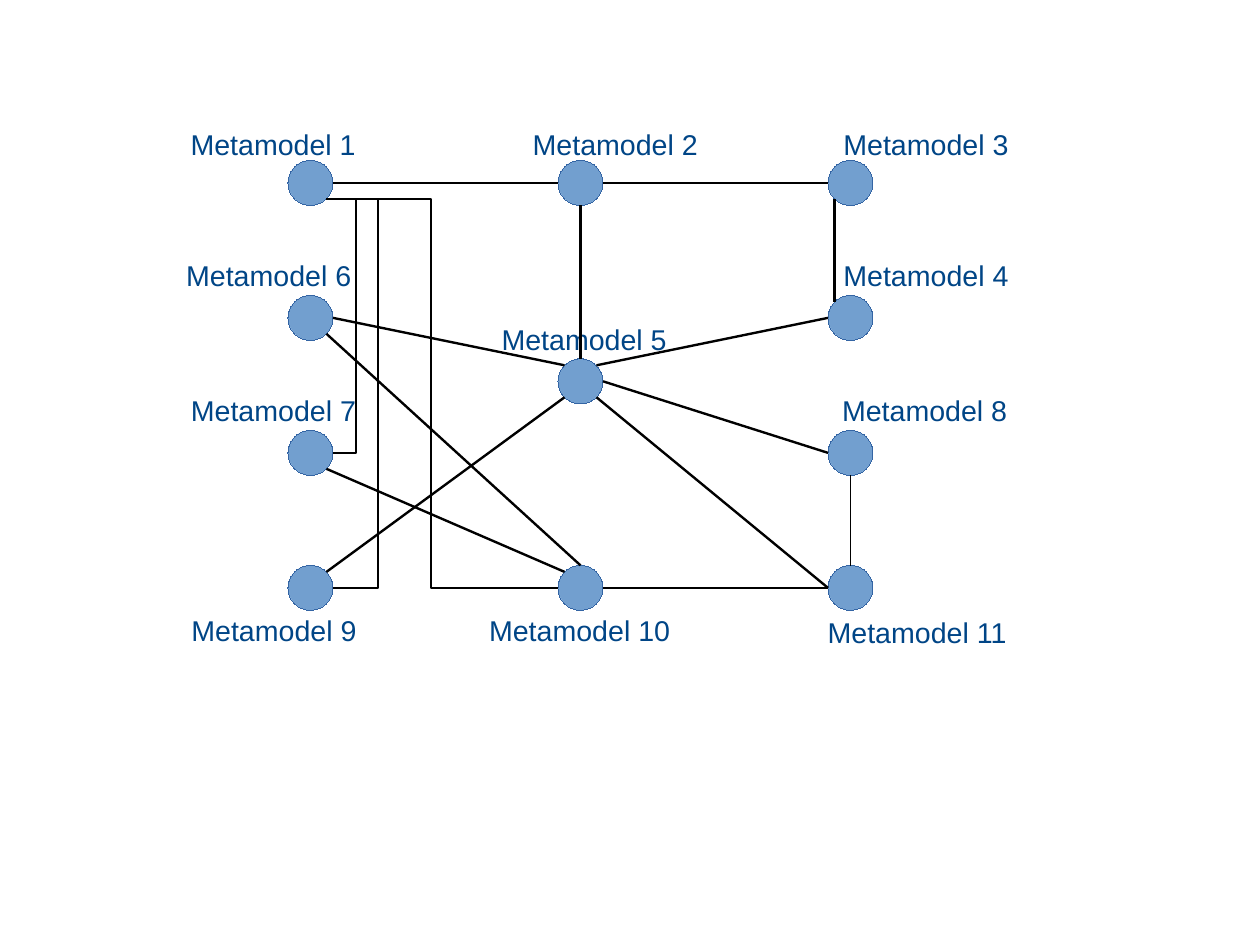
"""Draw a network of eleven linked metamodels."""
import enum
import typing

import pptx
import pptx.dml.color
import pptx.enum.shapes
import pptx.enum.text
import pptx.oxml
import pptx.oxml.ns
import pptx.util

Pt = pptx.util.Pt
DIAMETER = 28.35
LEFT_COLUMN, COLUMN_PITCH = 195.6, 170.08
TOP_ROW, ROW_PITCH = 115.2, 85.04
LABEL_HEIGHT = 27.4
HAIRLINE = 0.01


class Site(enum.Enum):
    TOP = (0, -1)
    TOP_LEFT = (-0.71, -0.71)
    LEFT = (-1, 0)
    BOTTOM_LEFT = (-0.71, 0.71)
    BOTTOM = (0, 1)
    BOTTOM_RIGHT = (0.71, 0.71)
    RIGHT = (1, 0)
    TOP_RIGHT = (0.71, -0.71)


class Node(typing.NamedTuple):
    column: int
    row: float
    label_left: float
    label_top: float

    def center(self) -> tuple[float, float]:
        return LEFT_COLUMN + self.column * COLUMN_PITCH, TOP_ROW + self.row * ROW_PITCH

    def point(self, site: Site) -> tuple[float, float]:
        x, y = self.center()
        across, down = site.value
        return x + across * DIAMETER / 2, y + down * DIAMETER / 2


class Link(typing.NamedTuple):
    start: int
    start_site: Site
    end: int
    end_site: Site
    bend_x: typing.Optional[float] = None
    weight: float = 1.5


NODES = {
    1: Node(0, 0, 113, 76.3),
    2: Node(1, 0, 328.5, 76.3),
    3: Node(2, 0, 524.2, 76.3),
    4: Node(2, 1, 524.2, 158.7),
    5: Node(1, 1.47, 308.9, 199.4),
    6: Node(0, 1, 110.2, 158.7),
    7: Node(0, 2, 113.2, 244.1),
    8: Node(2, 2, 523.4, 244.1),
    9: Node(0, 3, 113.5, 382.3),
    10: Node(1, 3, 301, 382.3),
    11: Node(2, 3, 514.3, 383.8),
}

LINKS = [
    Link(1, Site.RIGHT, 2, Site.LEFT),
    Link(2, Site.RIGHT, 3, Site.LEFT),
    Link(2, Site.BOTTOM, 5, Site.TOP),
    Link(3, Site.BOTTOM_LEFT, 4, Site.TOP_LEFT),
    Link(5, Site.TOP_RIGHT, 4, Site.LEFT),
    Link(5, Site.RIGHT, 8, Site.LEFT),
    Link(5, Site.TOP_LEFT, 6, Site.RIGHT),
    Link(9, Site.TOP_RIGHT, 5, Site.BOTTOM_LEFT),
    Link(11, Site.LEFT, 5, Site.BOTTOM_RIGHT),
    Link(10, Site.TOP_LEFT, 7, Site.BOTTOM_RIGHT),
    Link(10, Site.TOP, 6, Site.BOTTOM_RIGHT),
    Link(11, Site.LEFT, 10, Site.RIGHT),
    Link(11, Site.TOP, 8, Site.BOTTOM, weight=HAIRLINE),
    Link(1, Site.BOTTOM_RIGHT, 7, Site.RIGHT, bend_x=224.2),
    Link(1, Site.BOTTOM_RIGHT, 9, Site.RIGHT, bend_x=238.1),
    Link(1, Site.BOTTOM_RIGHT, 10, Site.LEFT, bend_x=271.4),
]


def color(value: str) -> pptx.dml.color.RGBColor:
    return pptx.dml.color.RGBColor.from_string(value)


def draw_node(page, number: int, node: Node) -> None:
    x, y = node.center()
    circle = page.shapes.add_shape(
        pptx.enum.shapes.MSO_SHAPE.OVAL,
        Pt(x - DIAMETER / 2), Pt(y - DIAMETER / 2), Pt(DIAMETER), Pt(DIAMETER))
    circle.shadow.inherit = False
    circle.fill.solid()
    circle.fill.fore_color.rgb = color("729FCF")
    circle.line.color.rgb = color("3465A4")
    circle.line.width = Pt(HAIRLINE)


def draw_label(page, number: int, node: Node) -> None:
    width = 119 if number < 10 else 129
    box = page.shapes.add_textbox(
        Pt(node.label_left), Pt(node.label_top), Pt(width), Pt(LABEL_HEIGHT))
    frame = box.text_frame
    frame.word_wrap = False
    frame.auto_size = pptx.enum.text.MSO_AUTO_SIZE.SHAPE_TO_FIT_TEXT
    span = frame.paragraphs[0].add_run()
    span.text = f"Metamodel {number}"
    span.font.name = "Arial"
    span.font.size = Pt(18)
    span.font.color.rgb = color("004586")


def draw_link(page, link: Link) -> None:
    start_x, start_y = NODES[link.start].point(link.start_site)
    end_x, end_y = NODES[link.end].point(link.end_site)
    kinds = pptx.enum.shapes.MSO_CONNECTOR
    line = page.shapes.add_connector(
        kinds.STRAIGHT if link.bend_x is None else kinds.ELBOW,
        Pt(start_x), Pt(start_y), Pt(end_x), Pt(end_y))
    line.line.color.rgb = color("000000")
    line.line.width = Pt(link.weight)
    properties = line._element.spPr
    properties.append(pptx.oxml.parse_xml(
        f'<a:effectLst {pptx.oxml.ns.nsdecls("a")}/>'))
    if link.bend_x is not None:
        share = round((link.bend_x - start_x) / (end_x - start_x) * 100000)
        guides = properties.find(".//" + pptx.oxml.ns.qn("a:avLst"))
        guides.append(pptx.oxml.parse_xml(
            f'<a:gd {pptx.oxml.ns.nsdecls("a")} name="adj1" fmla="val {share}"/>'))


def main() -> None:
    deck = pptx.Presentation()
    deck.slide_width, deck.slide_height = Pt(793.7), Pt(595.3)
    page = deck.slides.add_slide(deck.slide_layouts[6])
    for draw in (draw_node, draw_label):
        for number, node in NODES.items():
            draw(page, number, node)
    for link in LINKS:
        draw_link(page, link)
    deck.save("out.pptx")


if __name__ == "__main__":
    main()
